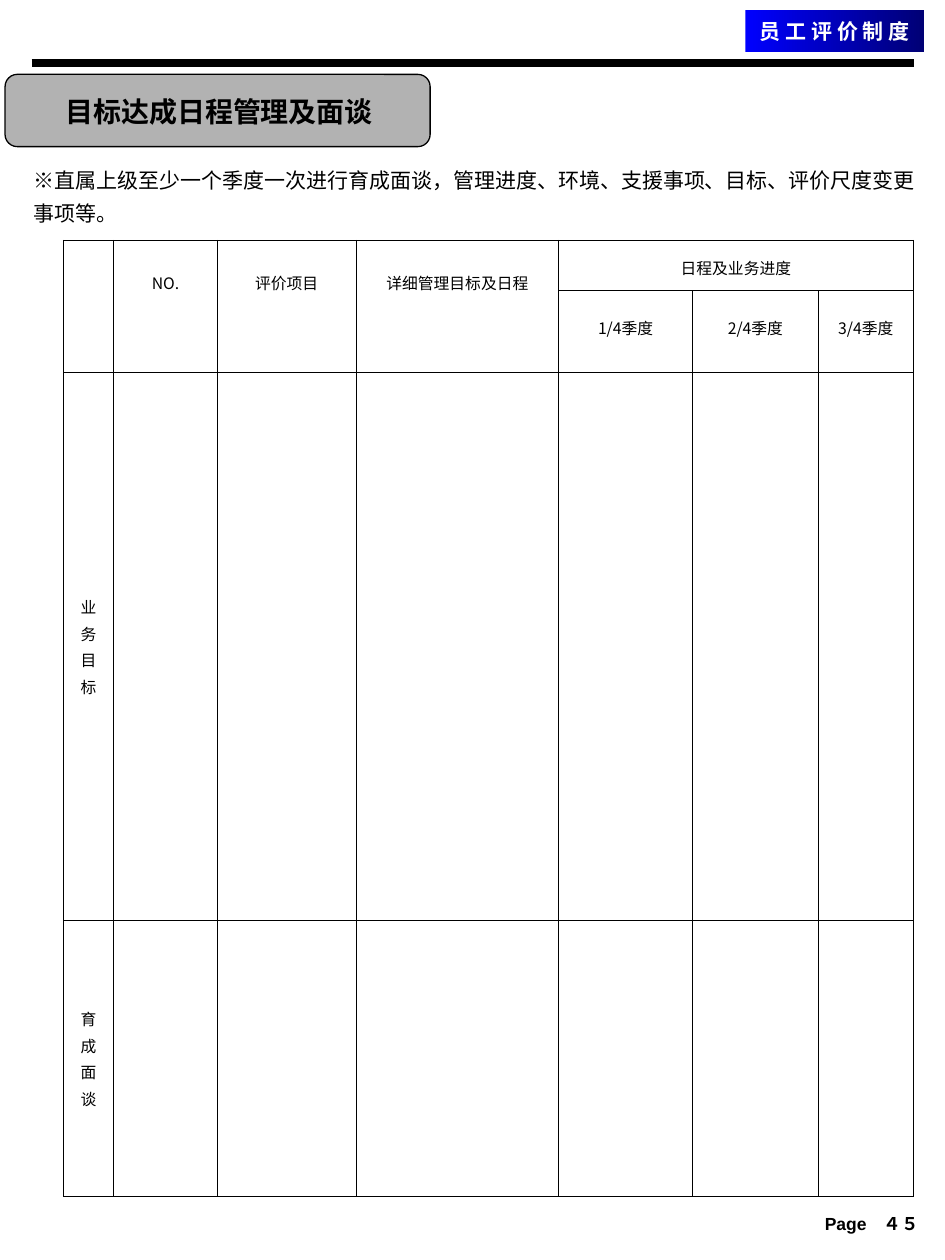
from dataclasses import dataclass

from lxml import etree
from pptx import Presentation
from pptx.dml.color import RGBColor
from pptx.enum import shapes, text
from pptx.oxml.ns import qn
from pptx.util import Pt

BLACK = RGBColor(0x00, 0x00, 0x00)
WHITE = RGBColor(0xFF, 0xFF, 0xFF)
GREY = RGBColor(0xB2, 0xB2, 0xB2)
BLUE = RGBColor(0x00, 0x00, 0xFF)
NAVY = RGBColor(0x00, 0x00, 0x75)

KR = "Noto Sans CJK KR"
SC = "Noto Sans CJK SC"
CENTER = text.PP_ALIGN.CENTER
MIDDLE = text.MSO_ANCHOR.MIDDLE
TOP = text.MSO_ANCHOR.TOP


@dataclass(frozen=True)
class Box:
    left: float
    top: float
    width: float
    height: float

    def lengths(self) -> tuple:
        return Pt(self.left), Pt(self.top), Pt(self.width), Pt(self.height)


@dataclass(frozen=True)
class Style:
    size: float
    face: str = KR
    color: RGBColor = BLACK
    bold: bool = False
    align: text.PP_ALIGN = CENTER
    gap: float = 0


@dataclass(frozen=True)
class Heading:
    row: int
    col: int
    lines: tuple
    inset: float = 3.6
    rows: int = 1
    cols: int = 1
    anchor: text.MSO_ANCHOR = TOP


BANNER = Style(12, SC, WHITE, bold=True)
TITLE = Style(16, bold=True)
NOTE = Style(12, align=text.PP_ALIGN.LEFT, gap=4.3)
PAGE = Style(10, "Arial", bold=True, align=text.PP_ALIGN.RIGHT)
CELL = Style(9, gap=2.2)

COLUMNS = (28.8, 59.2, 79.2, 115.9, 76.4, 72, 54)
ROWS = (28.8, 46.8, 313.2, 157.7)
HEADINGS = (
    Heading(0, 0, ("",), rows=2),
    *(Heading(0, col, (label,), inset=17.5, rows=2)
      for col, label in enumerate(("NO.", "评价项目", "详细管理目标及日程"), 1)),
    Heading(0, 4, ("日程及业务进度",), inset=8.9, cols=3),
    *(Heading(1, 3 + quarter, (f"{quarter}/4季度",), inset=14.4)
      for quarter in (1, 2, 3)),
    Heading(2, 0, tuple("业务目标"), anchor=MIDDLE),
    Heading(3, 0, tuple("育成面谈"), anchor=MIDDLE),
)


def write(frame, lines: tuple, style: Style) -> None:
    for index, line in enumerate(lines):
        paragraph = frame.paragraphs[0] if index == 0 else frame.add_paragraph()
        paragraph.text = line
        paragraph.alignment = style.align
        paragraph.space_before = Pt(style.gap if index else 0)
        font = paragraph.font
        font.size = Pt(style.size)
        font.bold = style.bold
        font.color.rgb = style.color
        font.name = style.face
        latin = font._element.find(qn("a:latin")) if hasattr(font, "_element") else font._rPr.find(qn("a:latin"))
        east_asian = etree.Element(qn("a:ea"), typeface=style.face)
        latin.addnext(east_asian)


def draw_rule(slide, left: float, right: float, y: float) -> None:
    rule = slide.shapes.add_connector(
        shapes.MSO_CONNECTOR.STRAIGHT, Pt(left), Pt(y), Pt(right), Pt(y))
    rule.line.color.rgb = BLACK
    rule.line.width = Pt(4.5)
    etree.SubElement(rule._element.spPr, qn("a:effectLst"))


def draw_banner(slide, box: Box, label: str) -> None:
    banner = slide.shapes.add_shape(shapes.MSO_SHAPE.RECTANGLE, *box.lengths())
    banner.shadow.inherit = False
    banner.line.fill.background()
    banner.fill.gradient()
    banner.fill.gradient_angle = 0
    for stop, color in zip(banner.fill.gradient_stops, (BLUE, NAVY)):
        stop.color.rgb = color
    banner.text_frame.word_wrap = False
    banner.text_frame.vertical_anchor = MIDDLE
    write(banner.text_frame, (label,), BANNER)


def draw_title(slide, panel_box: Box, title_box: Box, label: str) -> None:
    panel = slide.shapes.add_shape(
        shapes.MSO_SHAPE.ROUNDED_RECTANGLE, *panel_box.lengths())
    panel.shadow.inherit = False
    panel.adjustments[0] = 0.17
    panel.fill.solid()
    panel.fill.fore_color.rgb = GREY
    panel.line.color.rgb = BLACK
    panel.line.width = Pt(0.75)
    title = slide.shapes.title
    title.left, title.top, title.width, title.height = title_box.lengths()
    title.text_frame.vertical_anchor = MIDDLE
    title.text_frame.auto_size = text.MSO_AUTO_SIZE.NONE
    write(title.text_frame, (label,), TITLE)
    panel._element.addnext(title._element)


def draw_text(slide, box: Box, lines: tuple, style: Style) -> None:
    frame = slide.shapes.add_textbox(*box.lengths()).text_frame
    frame.word_wrap = True
    write(frame, lines, style)


def border(cell) -> None:
    properties = cell._tc.get_or_add_tcPr()
    for side in ("lnL", "lnR", "lnT", "lnB"):
        edge = etree.SubElement(properties, qn(f"a:{side}"), w=str(Pt(0.45)))
        fill = etree.SubElement(edge, qn("a:solidFill"))
        etree.SubElement(fill, qn("a:srgbClr"), val=str(BLACK))


def draw_schedule(slide, left: float, top: float) -> None:
    box = Box(left, top, sum(COLUMNS), sum(ROWS))
    schedule = slide.shapes.add_table(len(ROWS), len(COLUMNS), *box.lengths()).table
    schedule.first_row = False
    schedule.horz_banding = False
    for column, width in zip(schedule.columns, COLUMNS):
        column.width = Pt(width)
    for row, height in zip(schedule.rows, ROWS):
        row.height = Pt(height)
    for cell in schedule.iter_cells():
        border(cell)
        cell.fill.background()
    for heading in HEADINGS:
        cell = schedule.cell(heading.row, heading.col)
        if heading.rows * heading.cols > 1:
            cell.merge(schedule.cell(heading.row + heading.rows - 1,
                                     heading.col + heading.cols - 1))
        cell.margin_top = Pt(heading.inset)
        cell.vertical_anchor = heading.anchor
        write(cell.text_frame, heading.lines, CELL)


def main() -> None:
    deck = Presentation()
    deck.slide_width, deck.slide_height = Pt(540), Pt(720)
    slide = deck.slides.add_slide(deck.slide_layouts[5])
    draw_rule(slide, 18, 522, 36)
    draw_banner(slide, Box(425.9, 5.8, 102.2, 23.8), "员 工 评 价 制 度")
    draw_title(slide, Box(2.9, 42.5, 242.9, 41.3), Box(7.2, 49, 236.2, 29.5),
               "目标达成日程管理及面谈")
    draw_schedule(slide, 36.2, 137.3)
    draw_text(slide, Box(12.2, 92.2, 558, 43.9), (
        "※直属上级至少一个季度一次进行育成面谈，管理进度、环境、支援事项、目标、评价尺度变更",
        "事项等。"), NOTE)
    draw_text(slide, Box(419.8, 689.8, 112.3, 18), ("Page　４５",), PAGE)
    deck.save("out.pptx")


if __name__ == "__main__":
    main()
